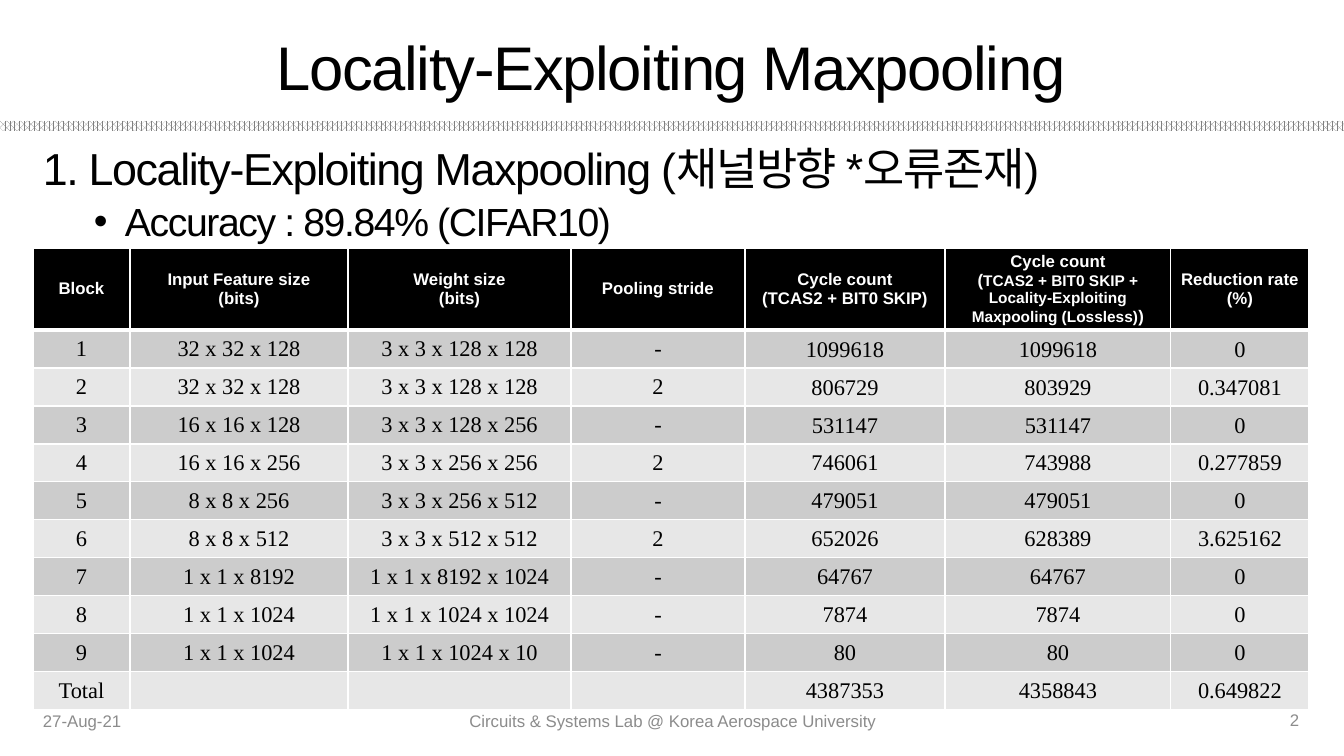
from lxml.etree import SubElement
from pptx import Presentation
from pptx.dml.color import RGBColor
from pptx.enum.dml import MSO_PATTERN
from pptx.enum.shapes import MSO_SHAPE
from pptx.enum.text import MSO_ANCHOR, MSO_AUTO_SIZE, PP_ALIGN
from pptx.oxml.ns import qn
from pptx.util import Pt

TITLE = "Locality-Exploiting Maxpooling"
POINT = "1. Locality-Exploiting Maxpooling (채널방향 *오류존재)"
DETAIL = "Accuracy : 89.84% (CIFAR10)"
FOOTER = [
    ("27-Aug-21", (33, 701, 302, 40), PP_ALIGN.LEFT),
    ("Circuits & Systems Lab @ Korea Aerospace University", (446, 701, 454, 40), PP_ALIGN.CENTER),
    ("2", (1003, 700, 306, 40), PP_ALIGN.RIGHT),
]
LONG = "TCAS2 + BIT0 SKIP + Locality-Exploiting Maxpooling (Lossless)"
HEADS = [
    [[("Block", 12)]],
    [[("Input Feature size", 12)], [("(bits)", 12)]],
    [[("Weight size", 12)], [("(bits)", 12)]],
    [[("Pooling stride", 12)]],
    [[("Cycle count", 12)], [("(TCAS2 + BIT0 SKIP)", 12)]],
    [[("Cycle count", 12)], [("(", 12), (LONG, 11), (")", 12)]],
    [[("Reduction rate", 12)], [("(%)", 12)]],
]
ROWS = [
    ("1", "32 x 32 x 128", "3 x 3 x 128 x 128", "-", "1099618", "1099618", "0"),
    ("2", "32 x 32 x 128", "3 x 3 x 128 x 128", "2", "806729", "803929", "0.347081"),
    ("3", "16 x 16 x 128", "3 x 3 x 128 x 256", "-", "531147", "531147", "0"),
    ("4", "16 x 16 x 256", "3 x 3 x 256 x 256", "2", "746061", "743988", "0.277859"),
    ("5", "8 x 8 x 256", "3 x 3 x 256 x 512", "-", "479051", "479051", "0"),
    ("6", "8 x 8 x 512", "3 x 3 x 512 x 512", "2", "652026", "628389", "3.625162"),
    ("7", "1 x 1 x 8192", "1 x 1 x 8192 x 1024", "-", "64767", "64767", "0"),
    ("8", "1 x 1 x 1024", "1 x 1 x 1024 x 1024", "-", "7874", "7874", "0"),
    ("9", "1 x 1 x 1024", "1 x 1 x 1024 x 10", "-", "80", "80", "0"),
    ("Total", "", "", "", "4387353", "4358843", "0.649822"),
]
WIDTHS = [97, 218, 223, 174, 200, 226, 138]
HEAD_H, ROW_H = 82, 38
FIRST_COUNT = 4
COLORS = {"ink": "000000", "paper": "FFFFFF", "foot": "8C8C8C",
          "rule": "808080", "odd": "CCCCCC", "even": "E7E7E7"}
SCALE = 914400 / 100.8


def px(*nums):
    return [round(n * SCALE) for n in nums]


def color(name):
    return RGBColor.from_string(COLORS[name])


def write(para, text, size, ink="ink", face="Arial", bold=False, tight=False):
    run = para.add_run()
    run.text = text
    font = run.font
    font.size, font.name, font.bold = Pt(size), face, bold
    font.color.rgb = color(ink)
    if tight:
        run._r.get_or_add_rPr().set("spc", "-100")


def text_box(place):
    frame = slide.shapes.add_textbox(*px(*place)).text_frame
    frame.word_wrap = True
    return frame


def border(cell, top, bottom):
    props = cell._tc.get_or_add_tcPr()
    for side, width in (("L", 1), ("R", 1), ("T", top), ("B", bottom)):
        line = SubElement(props, qn(f"a:ln{side}"), w=str(Pt(width)))
        fill = SubElement(line, qn("a:solidFill"))
        SubElement(fill, qn("a:srgbClr"), val=COLORS["paper"])


def fill_cell(cell, paras, back, **style):
    frame = cell.text_frame
    for i, runs in enumerate(paras):
        para = frame.add_paragraph() if i else frame.paragraphs[0]
        para.alignment = PP_ALIGN.CENTER
        for text, size in runs:
            write(para, text, size, **style)
    cell.vertical_anchor = MSO_ANCHOR.MIDDLE
    cell.fill.solid()
    cell.fill.fore_color.rgb = color(back)


deck = Presentation()
deck.slide_width, deck.slide_height = px(1344, 756)
slide = deck.slides.add_slide(deck.slide_layouts[5])

rule = slide.shapes.add_shape(MSO_SHAPE.RECTANGLE, *px(0, 121, 1344, 10))
rule.shadow.inherit = False
rule.line.fill.background()
rule.fill.patterned()
rule.fill.pattern = MSO_PATTERN.PERCENT_70
rule.fill.fore_color.rgb = color("rule")
rule.fill.back_color.rgb = color("paper")

title = slide.shapes.title
title.left, title.top, title.width, title.height = px(33, 22, 1276, 88)
frame = title.text_frame
frame.auto_size = MSO_AUTO_SIZE.NONE
frame.vertical_anchor = MSO_ANCHOR.MIDDLE
frame.paragraphs[0].alignment = PP_ALIGN.CENTER
write(frame.paragraphs[0], TITLE, 44, tight=True)

body = text_box((33, 142, 1276, 540))
point, detail = body.paragraphs[0], body.add_paragraph()
for para, text, size, gap in ((point, POINT, 32, 10), (detail, DETAIL, 28, 5)):
    para.line_spacing, para.space_before = 0.9, Pt(gap)
    write(para, text, size, tight=True)
detail.level = 1
props = detail._p.get_or_add_pPr()
left, hang = px(82, -31)
props.set("marL", str(left))
props.set("indent", str(hang))
SubElement(props, qn("a:buFont"), typeface="Arial")
SubElement(props, qn("a:buChar"), char="•")

high = HEAD_H + ROW_H * len(ROWS)
table = slide.shapes.add_table(len(ROWS) + 1, len(WIDTHS),
                               *px(33, 248, sum(WIDTHS), high)).table
for col, width in zip(table.columns, px(*WIDTHS)):
    col.width = width
for row, height in zip(table.rows, px(HEAD_H, *[ROW_H] * len(ROWS))):
    row.height = height

for c, paras in enumerate(HEADS):
    cell = table.cell(0, c)
    border(cell, 1, 3)
    fill_cell(cell, paras, "ink", ink="paper", bold=True)
    cell.margin_top, cell.margin_bottom = px(1, 1)
for r, row in enumerate(ROWS, 1):
    for c, text in enumerate(row):
        cell = table.cell(r, c)
        border(cell, 3 if r == 1 else 1, 1)
        fill_cell(cell, [[(text, 16)]] if text else [], "odd" if r % 2 else "even",
                  face="Times New Roman")
        if c >= FIRST_COUNT or not text:
            cell.margin_left, cell.margin_right, cell.margin_top, cell.margin_bottom = px(1, 1, 1, 0)

for text, place, align in FOOTER:
    frame = text_box(place)
    frame.vertical_anchor = MSO_ANCHOR.MIDDLE
    frame.paragraphs[0].alignment = align
    write(frame.paragraphs[0], text, 12, "foot")

deck.save("out.pptx")
